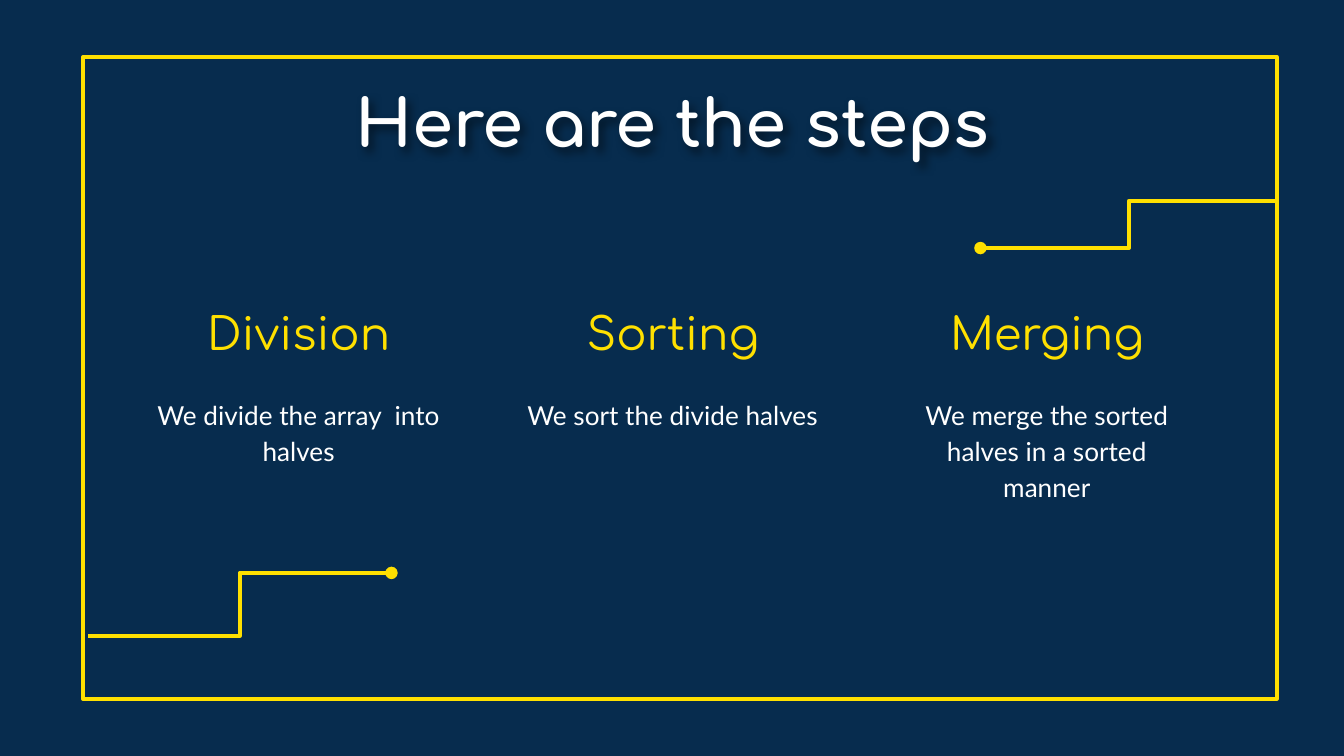
from dataclasses import dataclass

from lxml.etree import SubElement
from pptx import Presentation
from pptx.dml.color import RGBColor
from pptx.enum.shapes import MSO_CONNECTOR, MSO_SHAPE
from pptx.enum.text import MSO_ANCHOR, PP_ALIGN
from pptx.oxml.ns import qn
from pptx.shapes.autoshape import Shape
from pptx.slide import Slide
from pptx.util import Cm, Pt

COLORS = {"navy": "072C4E", "gold": "FFE000", "white": "FFFFFF", "black": "000000"}
LEFT, PITCH, WIDTH = 2.62, 7.07, 6.05
INSET = 0.25


@dataclass
class Step:
    name: str
    text: str


@dataclass
class Style:
    font: str
    size: int
    color: str
    bold: bool = False
    spacing: float = 1.0
    anchor: MSO_ANCHOR = MSO_ANCHOR.TOP


@dataclass
class Link:
    """An elbow line with a dot at its start; lengths in cm."""
    x1: float
    y1: float
    x2: float
    y2: float


TITLE = Style("Comfortaa", 35, "white", bold=True)
HEAD = Style("Comfortaa", 24, "gold", anchor=MSO_ANCHOR.BOTTOM)
BODY = Style("Lato", 14, "white", spacing=1.15)

STEPS = [
    Step("Division", "We divide the array  into halves"),
    Step("Sorting", "We sort the divide halves"),
    Step("Merging", "We merge the sorted halves in a sorted manner"),
]
LINKS = [Link(7.4, 10.83, 1.66, 12.02), Link(18.53, 4.69, 24.14, 3.8)]


def color(name: str) -> RGBColor:
    return RGBColor.from_string(COLORS[name])


def add_text(slide: Slide, text: str, style: Style,
             x: float, y: float, w: float, h: float) -> Shape:
    box = slide.shapes.add_textbox(Cm(x), Cm(y), Cm(w), Cm(h))
    frame = box.text_frame
    frame.word_wrap = True
    frame.vertical_anchor = style.anchor
    frame.margin_left = frame.margin_right = Cm(INSET)
    frame.margin_top = frame.margin_bottom = Cm(INSET)
    para = frame.paragraphs[0]
    para.alignment = PP_ALIGN.CENTER
    para.line_spacing = style.spacing
    run = para.add_run()
    run.text = text
    run.font.name = style.font
    run.font.size = Pt(style.size)
    run.font.bold = style.bold
    run.font.color.rgb = color(style.color)
    return box


def add_glow(box: Shape) -> None:
    """Give the text of an unfilled box a soft dark shadow."""
    effects = SubElement(box.element.spPr, qn("a:effectLst"))
    shadow = SubElement(effects, qn("a:outerShdw"), blurRad=str(Pt(4.5)),
                        dist=str(Pt(3)), dir="3000000", algn="bl",
                        rotWithShape="0")
    tone = SubElement(shadow, qn("a:srgbClr"), val=COLORS["black"])
    SubElement(tone, qn("a:alpha"), val="50000")


def add_frame(slide: Slide) -> None:
    rect = slide.shapes.add_shape(
        MSO_SHAPE.RECTANGLE, Cm(1.57), Cm(1.08), Cm(22.56), Cm(12.13))
    rect.shadow.inherit = False
    rect.fill.solid()
    rect.fill.fore_color.rgb = color("navy")
    rect.line.color.rgb = color("gold")
    rect.line.width = Pt(2.25)


def add_link(slide: Slide, link: Link) -> None:
    line = slide.shapes.add_connector(
        MSO_CONNECTOR.ELBOW, Cm(link.x1), Cm(link.y1), Cm(link.x2), Cm(link.y2))
    line.line.color.rgb = color("gold")
    line.line.width = Pt(2.25)
    SubElement(line.line._get_or_add_ln(), qn("a:headEnd"), type="oval")
    SubElement(line._element.spPr, qn("a:effectLst"))


def main() -> None:
    deck = Presentation()
    deck.slide_width, deck.slide_height = Cm(25.4), Cm(14.29)
    slide = deck.slides.add_slide(deck.slide_layouts[6])
    slide.background.fill.solid()
    slide.background.fill.fore_color.rgb = color("navy")

    add_frame(slide)
    title = add_text(slide, "Here are the steps", TITLE, 2.01, 1.3, 21.41, 1.6)
    add_glow(title)
    for i, step in enumerate(STEPS):
        x = LEFT + i * PITCH
        add_text(slide, step.name, HEAD, x, 5.21, WIDTH, 1.83)
        add_text(slide, step.text, BODY, x, 7.21, WIDTH, 2.82)
    for link in LINKS:
        add_link(slide, link)
    deck.save("out.pptx")


if __name__ == "__main__":
    main()
